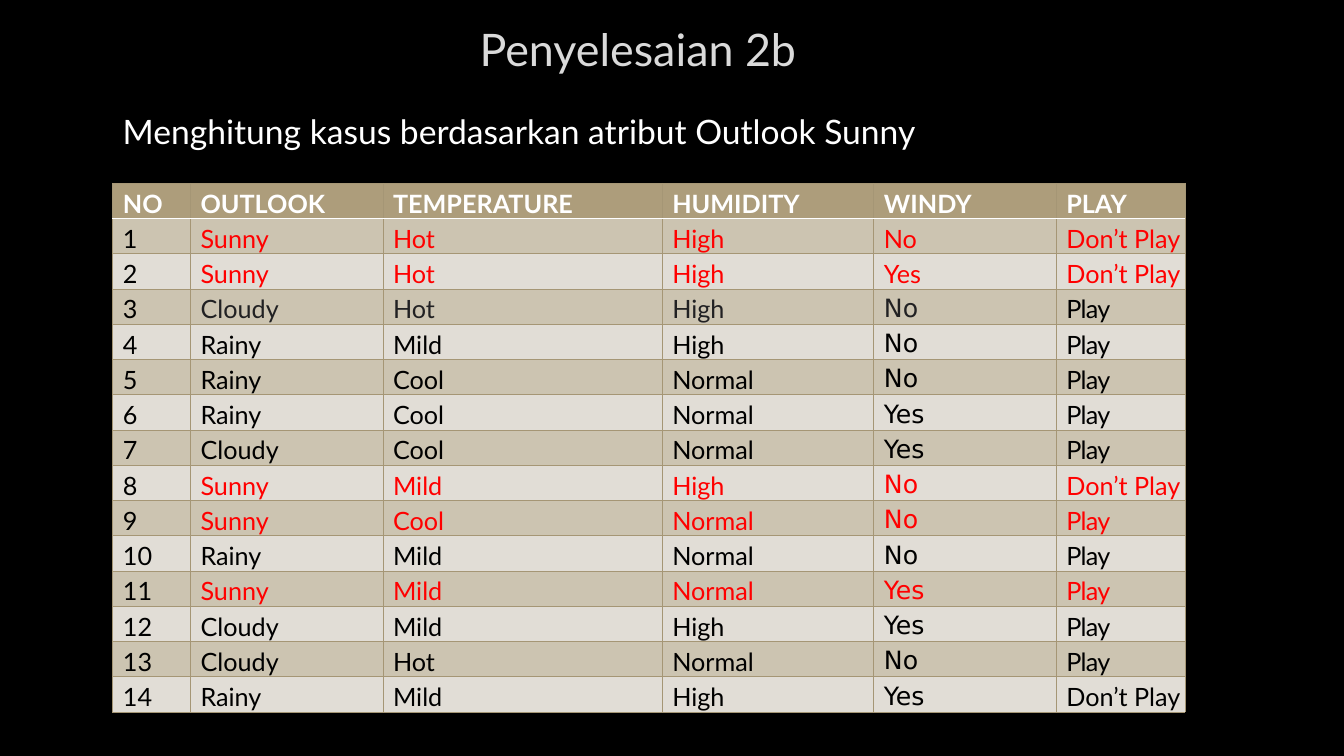
import pptx
import pptx.dml.color
import pptx.enum.text
import pptx.oxml
import pptx.oxml.ns
import pptx.util

Pt = pptx.util.Pt
ALIGN = pptx.enum.text.PP_ALIGN
ANCHOR = pptx.enum.text.MSO_ANCHOR

COLORS = {
    "page": "000000",
    "title": "DADADA",
    "white": "FFFFFF",
    "black": "000000",
    "charcoal": "212123",
    "sunny": "FF0000",
    "header": "AD9D7B",
    "dark_band": "CCC4B1",
    "light_band": "E1DDD6",
    "border": "A59675",
}

HEADINGS = ["NO", "OUTLOOK", "TEMPERATURE", "HUMIDITY", "WINDY", "PLAY"]
CASES = [
    ["Sunny", "Hot", "High", "No", "Don’t Play"],
    ["Sunny", "Hot", "High", "Yes", "Don’t Play"],
    ["Cloudy", "Hot", "High", "No", "Play"],
    ["Rainy", "Mild", "High", "No", "Play"],
    ["Rainy", "Cool", "Normal", "No", "Play"],
    ["Rainy", "Cool", "Normal", "Yes", "Play"],
    ["Cloudy", "Cool", "Normal", "Yes", "Play"],
    ["Sunny", "Mild", "High", "No", "Don’t Play"],
    ["Sunny", "Cool", "Normal", "No", "Play"],
    ["Rainy", "Mild", "Normal", "No", "Play"],
    ["Sunny", "Mild", "Normal", "Yes", "Play"],
    ["Cloudy", "Mild", "High", "Yes", "Play"],
    ["Cloudy", "Hot", "Normal", "No", "Play"],
    ["Rainy", "Mild", "High", "Yes", "Don’t Play"],
]
COLUMN_WIDTHS = [55.5, 137.5, 199.5, 151.2, 130.3, 92]


def color(name):
    return pptx.dml.color.RGBColor.from_string(COLORS[name])


def write(frame, text, size=18, font="Lato", fill="black", bold=False,
          align=ALIGN.LEFT, spacing=0):
    para = frame.paragraphs[0]
    para.alignment = align
    span = para.add_run()
    span.text = text
    span.font.size = Pt(size)
    span.font.name = font
    span.font.bold = bold
    span.font.color.rgb = color(fill)
    if spacing:
        span.font._element.set("spc", str(int(spacing * 100)))


def add_text(page, left, top, width, height, text, anchor=ANCHOR.TOP, **style):
    box = page.shapes.add_textbox(Pt(left), Pt(top), Pt(width), Pt(height))
    box.text_frame.word_wrap = True
    box.text_frame.vertical_anchor = anchor
    write(box.text_frame, text, **style)


def add_border(cell, side, name, width):
    properties = cell._tc.get_or_add_tcPr()
    properties.append(pptx.oxml.parse_xml(
        f'<a:ln{side} {pptx.oxml.ns.nsdecls("a")} w="{Pt(width)}">'
        f'<a:solidFill><a:srgbClr val="{COLORS[name]}"/></a:solidFill></a:ln{side}>'))


def format_cell(cell, band, white_side=None):
    cell.margin_left = Pt(7.2)
    cell.margin_top = Pt(3.55)
    cell.margin_right = cell.margin_bottom = 0
    for side in "LRTB":
        if side == white_side:
            add_border(cell, side, "white", 1.25)
        else:
            add_border(cell, side, "border", 0.75)
    cell.fill.solid()
    cell.fill.fore_color.rgb = color(band)


def case_style(number, column, values):
    fill = "black"
    if column > 0 and values[1] == "Sunny":
        fill = "sunny"
    elif number == 3 and 0 < column < 5:
        fill = "charcoal"
    font = "DejaVu Sans" if column == 4 and number > 2 else "Lato"
    spacing = -0.5 if values[column] == "Play" else 0
    return {"fill": fill, "font": font, "spacing": spacing}


def add_case_table(page, left, top, row_height):
    count = len(CASES) + 1
    table = page.shapes.add_table(
        count, len(HEADINGS), Pt(left), Pt(top),
        Pt(sum(COLUMN_WIDTHS)), Pt(row_height * count)).table
    for column, width in zip(table.columns, COLUMN_WIDTHS):
        column.width = Pt(width)
    for row in table.rows:
        row.height = Pt(row_height)
    for column, heading in enumerate(HEADINGS):
        cell = table.cell(0, column)
        format_cell(cell, "header", white_side="B")
        write(cell.text_frame, heading, fill="white", bold=True)
    for number, case in enumerate(CASES, start=1):
        values = [str(number)] + case
        band = "dark_band" if number % 2 else "light_band"
        for column, value in enumerate(values):
            cell = table.cell(number, column)
            format_cell(cell, band, white_side="T" if number == 1 else None)
            write(cell.text_frame, value, **case_style(number, column, values))


def main():
    deck = pptx.Presentation()
    deck.slide_width, deck.slide_height = Pt(960), Pt(540)
    page = deck.slides.add_slide(deck.slide_layouts[6])
    page.background.fill.solid()
    page.background.fill.fore_color.rgb = color("page")
    add_text(page, 80.6, 12, 750.2, 46, "Penyelesaian 2b", size=32,
             fill="title", align=ALIGN.CENTER, anchor=ANCHOR.MIDDLE)
    add_case_table(page, 80.6, 131, 25.15)
    add_text(page, 80.6, 75.6, 794, 36,
             "Menghitung kasus berdasarkan atribut Outlook Sunny",
             size=24, fill="white")
    deck.save("out.pptx")


if __name__ == "__main__":
    main()
